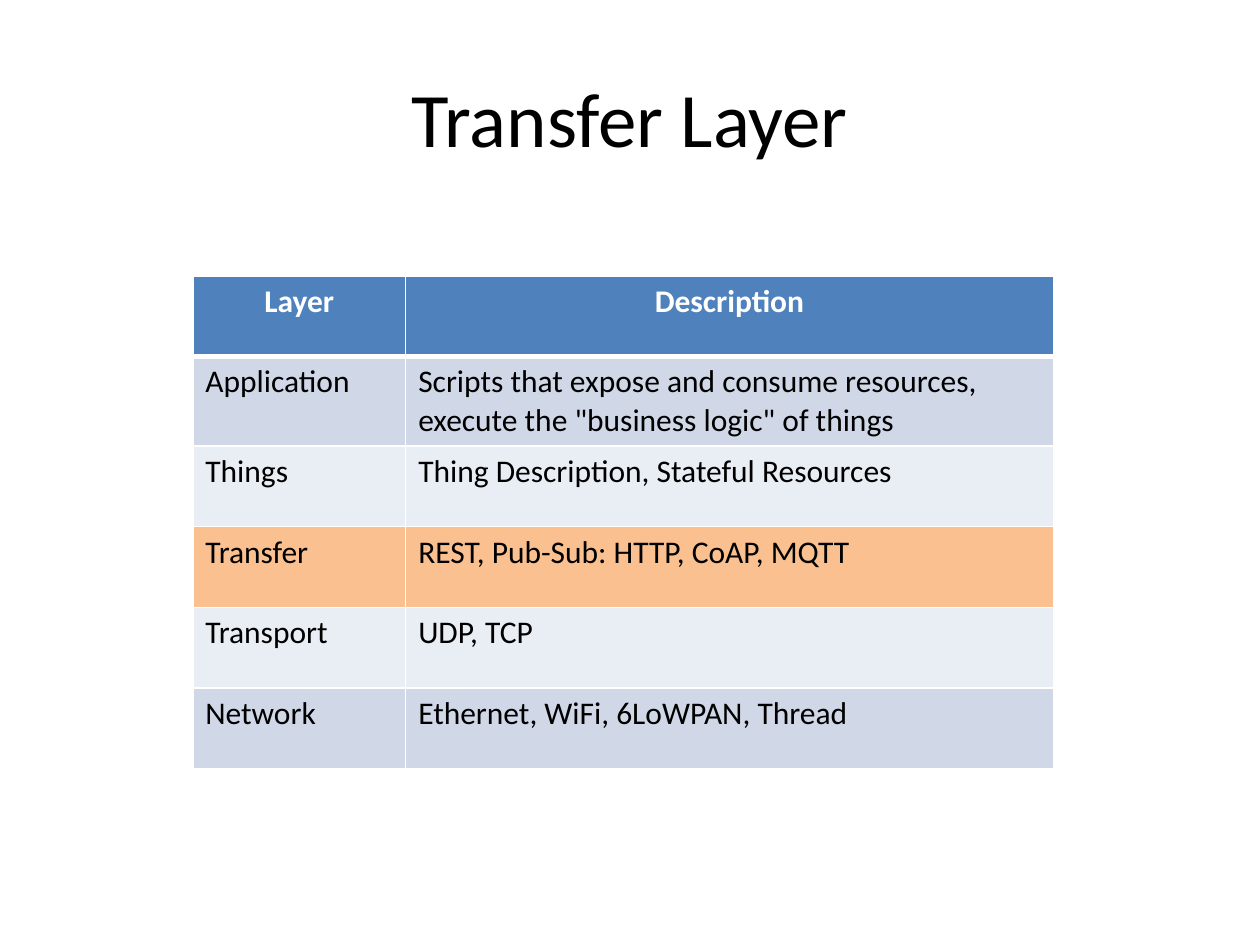
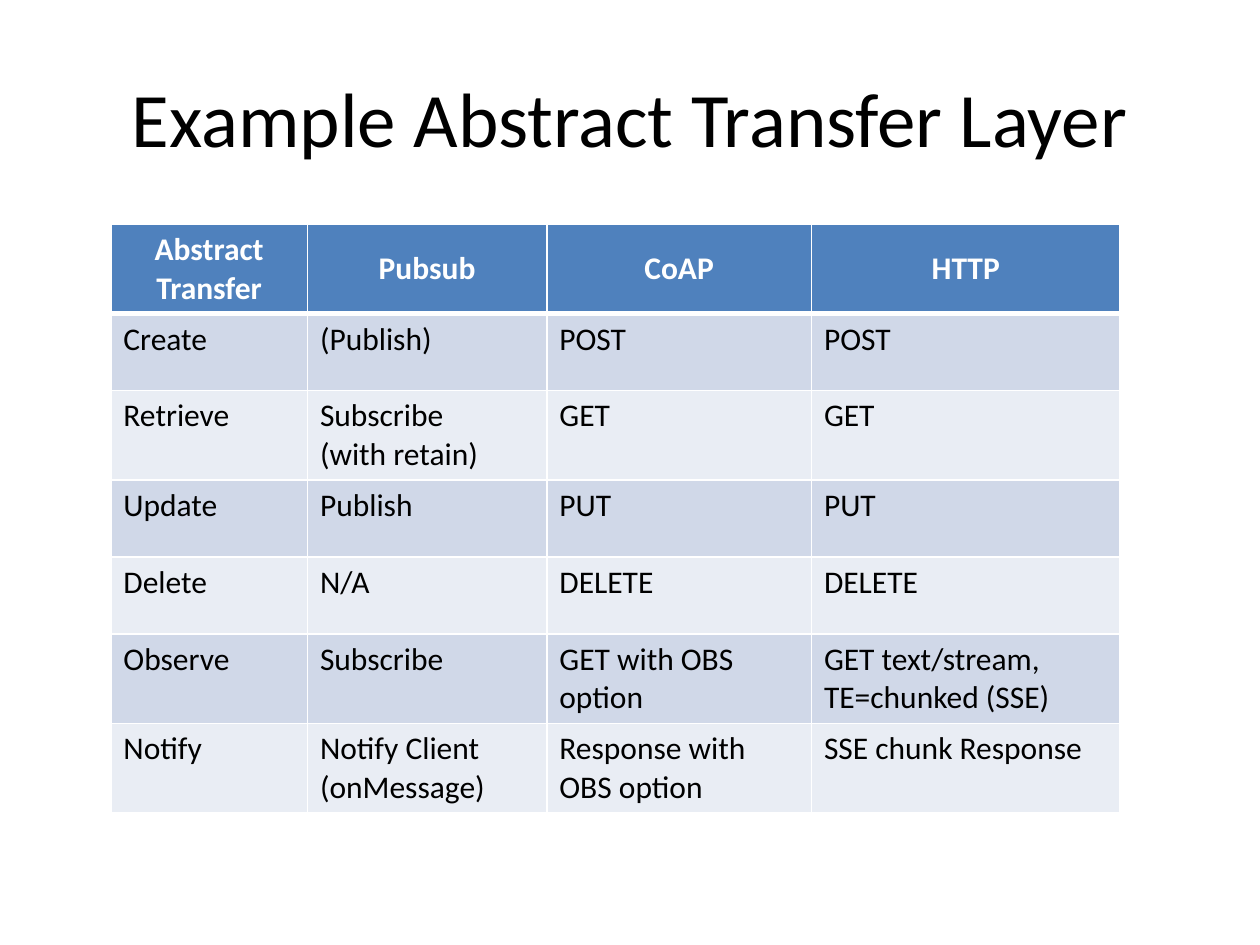
"""Build two slides that show the transfer layer as tables."""
from dataclasses import dataclass

from lxml import etree
from pptx import Presentation
from pptx.dml.color import RGBColor
from pptx.enum.text import MSO_ANCHOR, PP_ALIGN
from pptx.oxml.ns import qn
from pptx.util import Inches, Pt

CENTER, LEFT = PP_ALIGN.CENTER, PP_ALIGN.LEFT
TOP, MIDDLE = MSO_ANCHOR.TOP, MSO_ANCHOR.MIDDLE

BLACK = RGBColor(0x00, 0x00, 0x00)
WHITE = RGBColor(0xFF, 0xFF, 0xFF)
HEADER_BLUE = RGBColor(0x4F, 0x81, 0xBD)
BANDS = (RGBColor(0xD0, 0xD8, 0xE8), RGBColor(0xE9, 0xED, 0xF4))
HIGHLIGHT = RGBColor(0xFA, 0xC0, 0x90)

FONT = "Calibri"
TITLE_SIZE, TABLE_SIZE = 44, 18
THIN_RULE, HEADER_RULE = 1, 3
TITLE_ONLY = 5


@dataclass(frozen=True)
class TableSlide:
    """A title and the table below it; lengths are in inches."""
    title: str
    left: float
    top: float
    column_widths: tuple[float, ...]
    row_heights: tuple[float, ...]
    rows: tuple[tuple[str, ...], ...]
    header_anchor: MSO_ANCHOR = TOP
    highlighted_row: int | None = None


SLIDES = (
    TableSlide(
        title="Transfer Layer",
        left=1.53, top=2.19,
        column_widths=(1.69, 5.14),
        row_heights=(0.64,) * 6,
        rows=(
            ("Layer", "Description"),
            ("Application", "Scripts that expose and consume resources, "
                            "execute the \"business logic\" of things"),
            ("Things", "Thing Description, Stateful Resources"),
            ("Transfer", "REST, Pub-Sub: HTTP, CoAP, MQTT"),
            ("Transport", "UDP, TCP"),
            ("Network", "Ethernet, WiFi, 6LoWPAN, Thread"),
        ),
        highlighted_row=3,
    ),
    TableSlide(
        title="Example Abstract Transfer Layer",
        left=0.88, top=1.78,
        column_widths=(1.56, 1.9, 2.1, 2.45),
        row_heights=(0.71, 0.61, 0.71, 0.61, 0.61, 0.71, 0.71),
        rows=(
            ("Abstract Transfer", "Pubsub", "CoAP", "HTTP"),
            ("Create", "(Publish)", "POST", "POST"),
            ("Retrieve", "Subscribe\n(with retain)", "GET", "GET"),
            ("Update", "Publish", "PUT", "PUT"),
            ("Delete", "N/A", "DELETE", "DELETE"),
            ("Observe", "Subscribe", "GET with OBS option",
             "GET text/stream, TE=chunked (SSE)"),
            ("Notify", "Notify Client (onMessage)",
             "Response with OBS option", "SSE chunk Response"),
        ),
        header_anchor=MIDDLE,
    ),
)


def format_text(frame, size: int, color: RGBColor, align: PP_ALIGN,
                bold: bool = False) -> None:
    """Apply one style to all text of a frame."""
    for paragraph in frame.paragraphs:
        paragraph.alignment = align
        for span in paragraph.runs:
            span.font.name = FONT
            span.font.size = Pt(size)
            span.font.bold = bold
            span.font.color.rgb = color


def add_title(page, title: str) -> None:
    """Place and fill the title placeholder."""
    box = page.shapes.title
    box.left, box.top = Inches(0.5), Inches(0.3)
    box.width, box.height = Inches(9), Inches(1.25)
    box.text_frame.text = title
    box.text_frame.vertical_anchor = MIDDLE
    format_text(box.text_frame, TITLE_SIZE, BLACK, CENTER)


def add_borders(cell, top: int, bottom: int) -> None:
    """Draw white cell borders; call this before the fill is set."""
    properties = cell._tc.get_or_add_tcPr()
    widths = {"a:lnL": THIN_RULE, "a:lnR": THIN_RULE,
              "a:lnT": top, "a:lnB": bottom}
    for tag, width in widths.items():
        line = etree.SubElement(properties, qn(tag), w=str(Pt(width)))
        fill = etree.SubElement(line, qn("a:solidFill"))
        etree.SubElement(fill, qn("a:srgbClr"), val=str(WHITE))


def row_fill(row: int, highlighted_row: int | None) -> RGBColor:
    """Return the fill colour of a table row."""
    if row == 0:
        return HEADER_BLUE
    if row == highlighted_row:
        return HIGHLIGHT
    return BANDS[(row - 1) % 2]


def add_table(page, content: TableSlide) -> None:
    """Draw the table with a header row and banded rows."""
    table = page.shapes.add_table(
        len(content.rows), len(content.column_widths),
        Inches(content.left), Inches(content.top),
        Inches(sum(content.column_widths)),
        Inches(sum(content.row_heights))).table
    for column, width in zip(table.columns, content.column_widths):
        column.width = Inches(width)
    for table_row, height in zip(table.rows, content.row_heights):
        table_row.height = Inches(height)

    for row, texts in enumerate(content.rows):
        header = row == 0
        for column, text in enumerate(texts):
            cell = table.cell(row, column)
            add_borders(cell,
                        top=HEADER_RULE if row == 1 else THIN_RULE,
                        bottom=HEADER_RULE if header else THIN_RULE)
            cell.fill.solid()
            cell.fill.fore_color.rgb = row_fill(row, content.highlighted_row)
            cell.vertical_anchor = content.header_anchor if header else TOP
            cell.text_frame.text = text
            format_text(cell.text_frame, TABLE_SIZE,
                        WHITE if header else BLACK,
                        CENTER if header else LEFT, bold=header)


def main() -> None:
    """Build and save the deck."""
    deck = Presentation()
    deck.slide_width, deck.slide_height = Inches(10), Inches(7.5)
    for content in SLIDES:
        page = deck.slides.add_slide(deck.slide_layouts[TITLE_ONLY])
        add_title(page, content.title)
        add_table(page, content)
    deck.save("out.pptx")


main()
